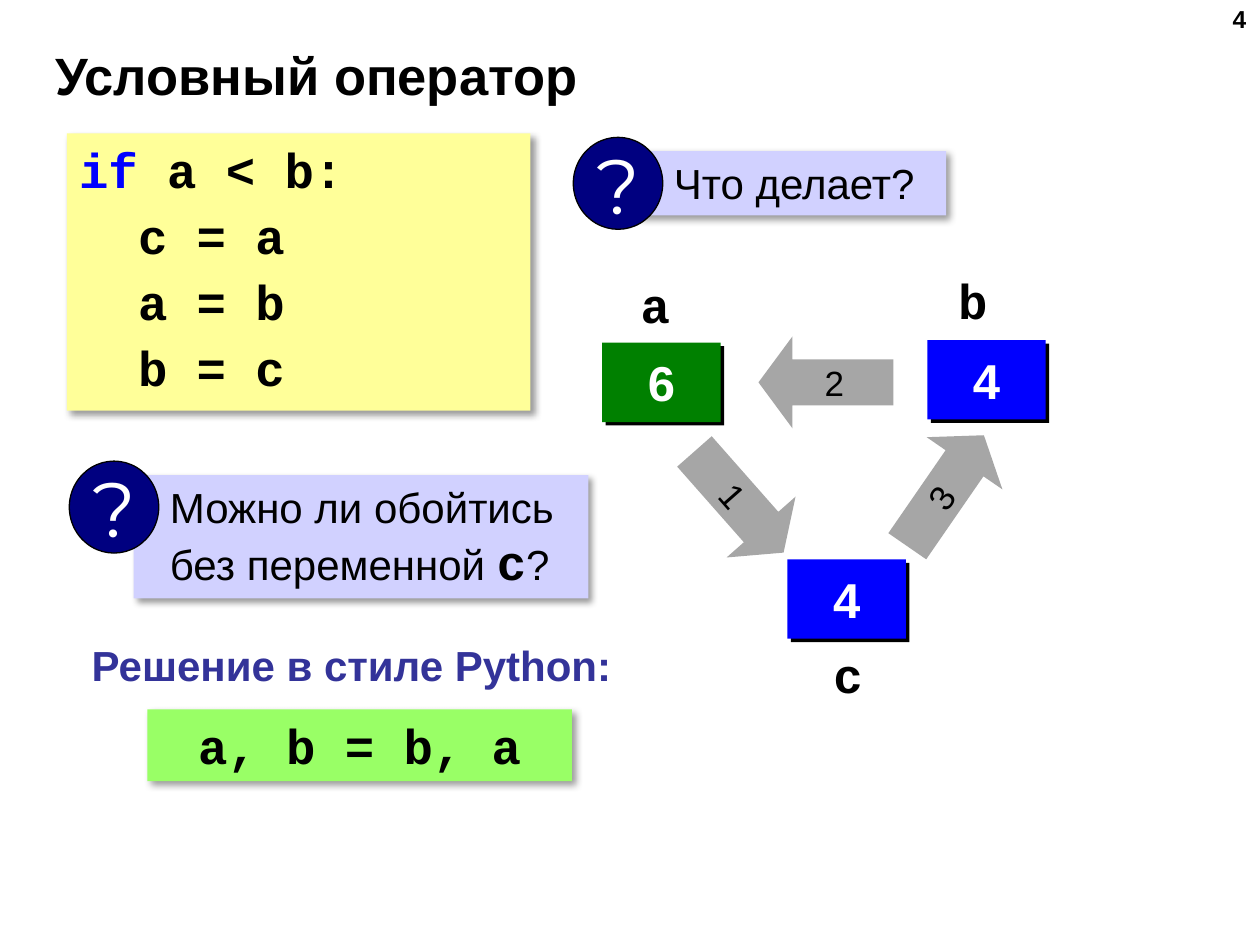
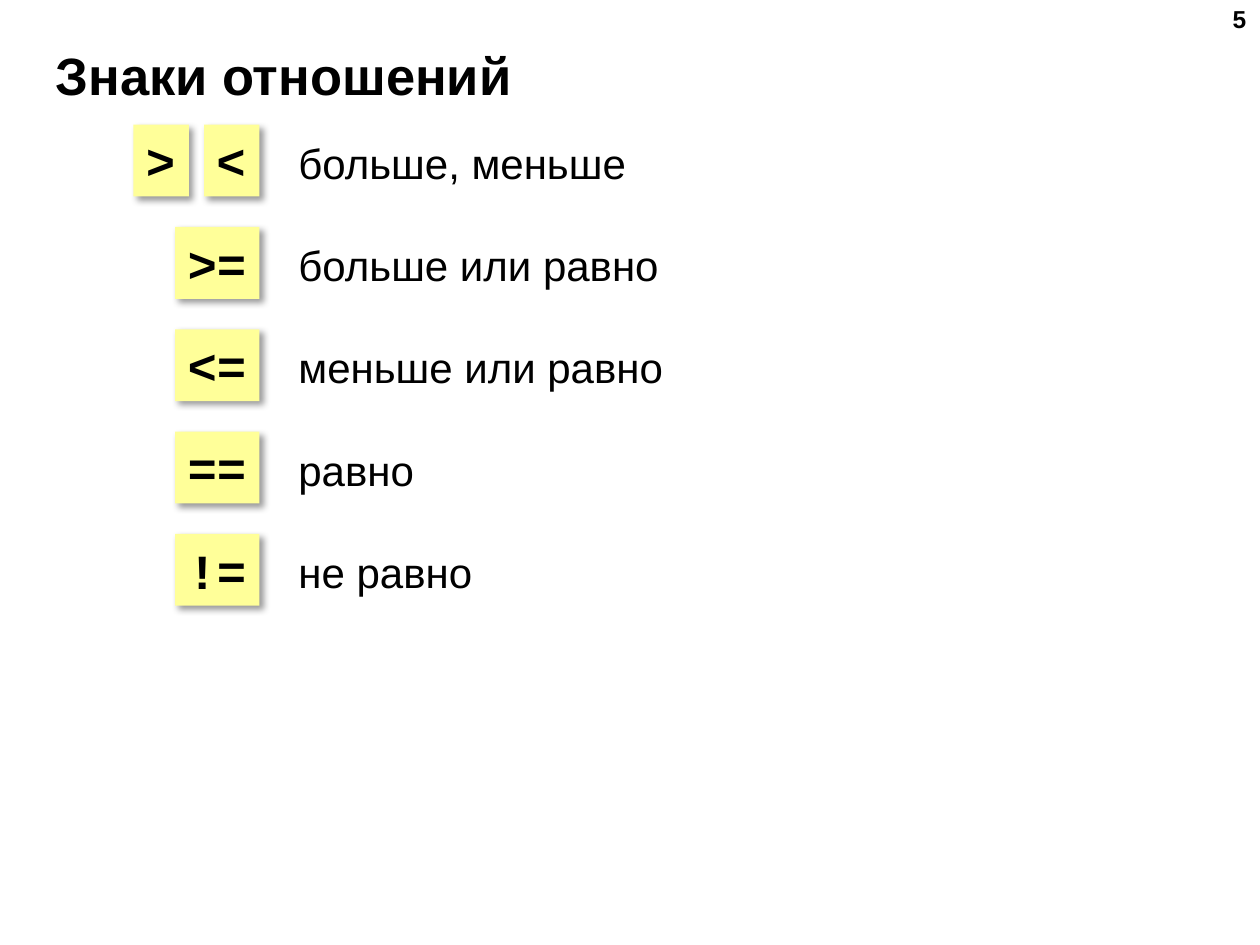
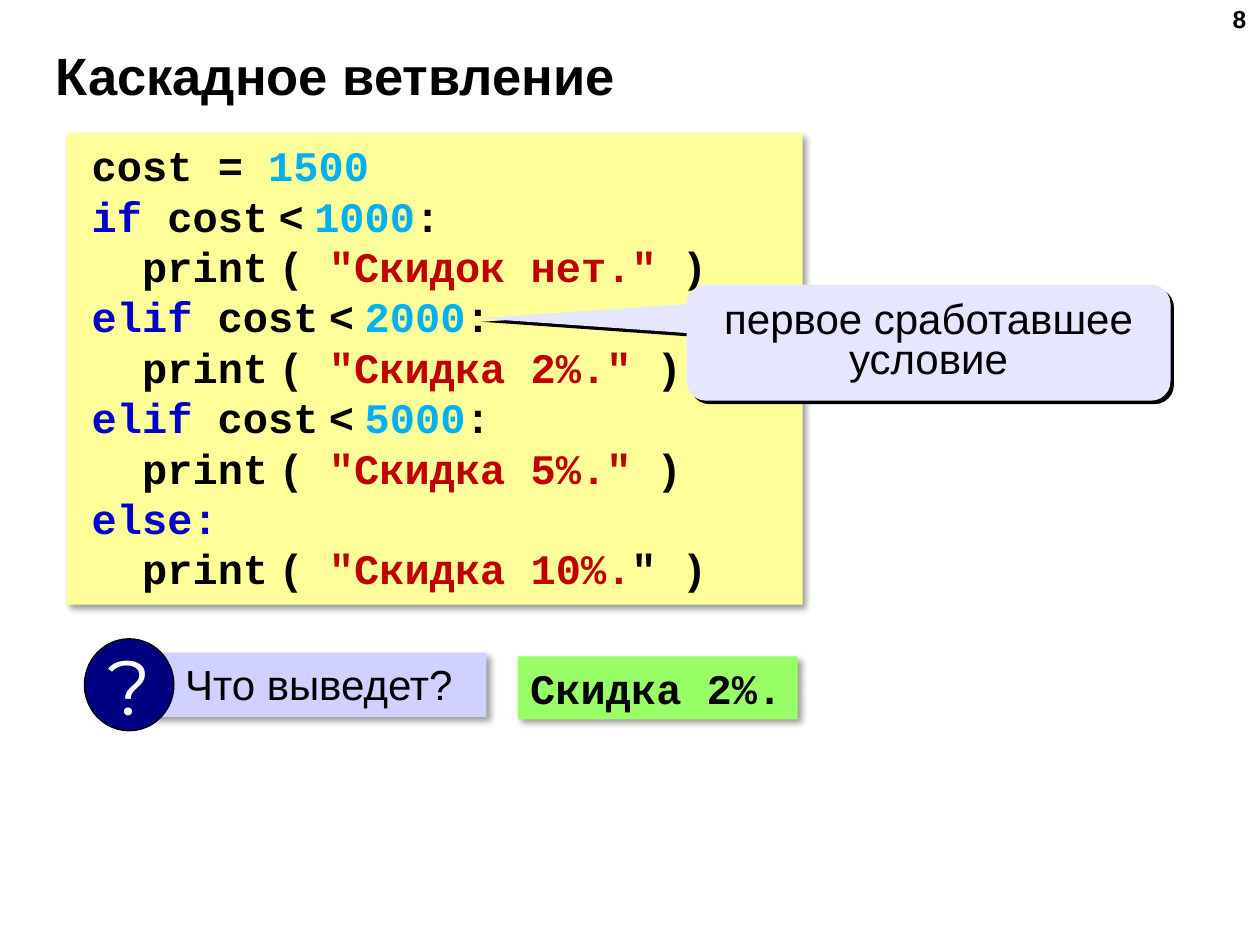
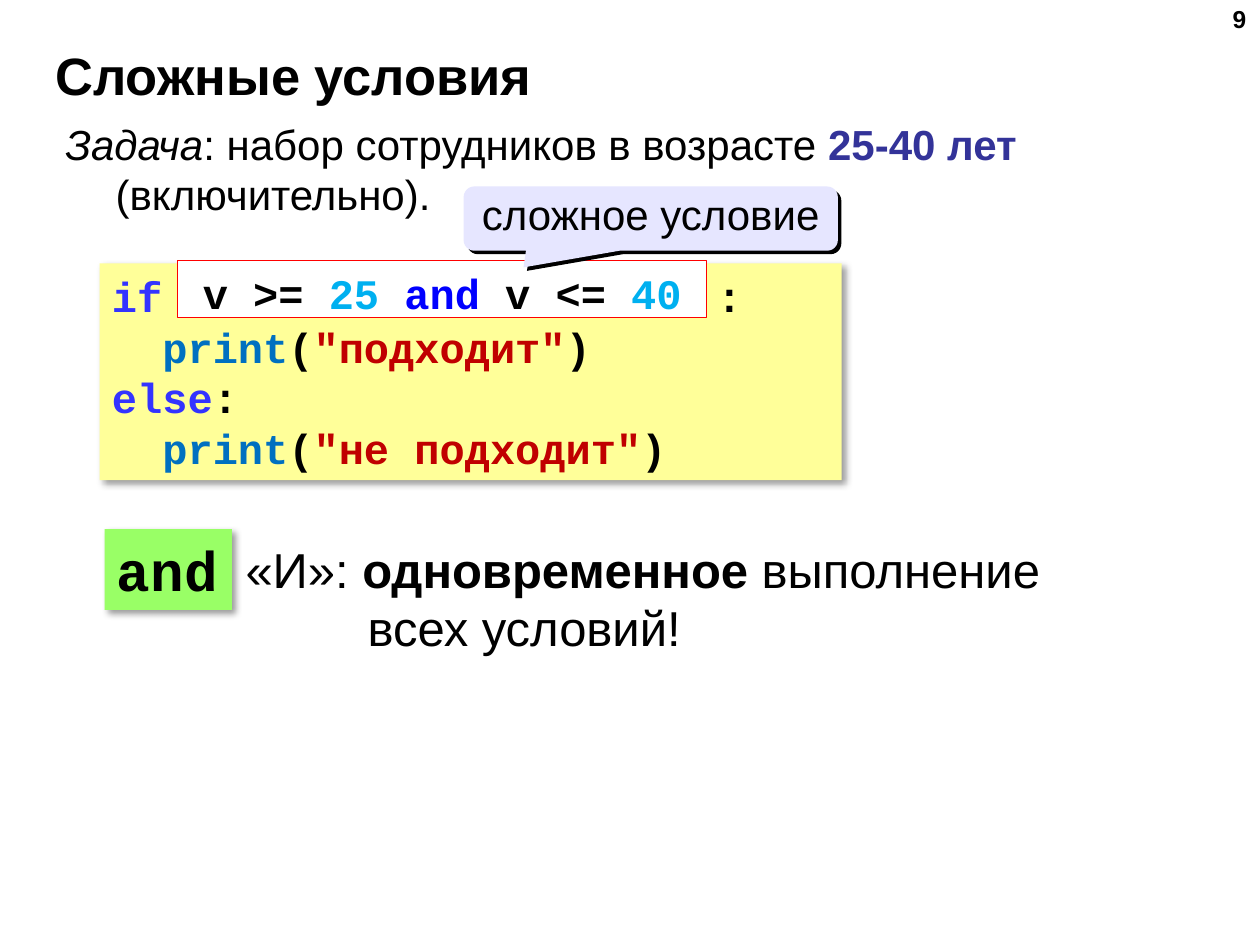
from dataclasses import dataclass, replace
from lxml.etree import SubElement
from pptx import Presentation
from pptx.dml.color import RGBColor
from pptx.enum.shapes import MSO_SHAPE
from pptx.enum.text import MSO_ANCHOR, MSO_AUTO_SIZE, PP_ALIGN
from pptx.oxml.ns import qn
from pptx.util import Inches, Pt

CELL = Inches(0.1)  # the slide is a grid of 100 columns by 75 rows
COLS, ROWS = 100, 75


# Shared look
@dataclass(frozen=True)
class Style:
    size: float = 24
    font: str = "Arial"
    color: str = "000000"
    bold: bool = False
    italic: bool = False


@dataclass(frozen=True)
class Theme:
    # surfaces
    code: str = "FFFF99"
    answer: str = "99FF66"
    ask: str = "D1D1FF"
    note: str = "E6E6FF"
    badge: str = "000080"
    arrow: str = "A6A6A6"
    blue: str = "0000FF"
    green: str = "008000"
    white: str = "FFFFFF"
    black: str = "000000"
    red: str = "FF0000"
    # words
    accent: str = "333399"
    word: str = "0000CC"
    key: str = "3333FF"
    call: str = "0070C0"
    digit: str = "00B0F0"
    quote: str = "C00000"
    # type
    text: Style = Style()
    large: Style = Style(28)
    small: Style = Style(20)
    title: Style = Style(30, bold=True)
    page: Style = Style(14, bold=True)
    value: Style = Style(28, color="FFFFFF", bold=True)
    sign: Style = Style(44, "Montserrat", "FFFFFF")
    mono: Style = Style(24, "Courier New", bold=True)
    big: Style = Style(28, "Courier New", bold=True)
    huge: Style = Style(32, "Courier New", bold=True)
    # shadows: opacity %, blur, distance
    soft: tuple = (40, 4, 3)
    hard: tuple = (100, 0, 2.8)


T = Theme()
THIN = (" ", {"size": 10})


def tint(text, color):
    return text, {"color": color}


# Text: a line is a string or a list of parts; a part is a string
# or a pair of a string and its changes to the style
def write(frame, lines, style, align=PP_ALIGN.LEFT, anchor=MSO_ANCHOR.TOP,
          wrap=True, grow=False):
    frame.word_wrap = wrap
    frame.vertical_anchor = anchor
    frame.auto_size = (MSO_AUTO_SIZE.SHAPE_TO_FIT_TEXT if grow
                       else MSO_AUTO_SIZE.NONE)
    for row, line in enumerate([lines] if isinstance(lines, str) else lines):
        para = frame.add_paragraph() if row else frame.paragraphs[0]
        para.alignment = align
        for part in [line] if isinstance(line, str) else line:
            text, change = (part, {}) if isinstance(part, str) else part
            look = replace(style, **change)
            run = para.add_run()
            run.text = text
            run.font.size = Pt(look.size)
            run.font.name = look.font
            run.font.bold = look.bold
            run.font.italic = look.italic
            run.font.color.rgb = RGBColor.from_string(look.color)
    return frame.paragraphs


def indent(para, left, first=0):
    props = para._p.get_or_add_pPr()
    props.set("marL", str(int(left * CELL)))
    props.set("indent", str(int(first * CELL)))


def tab(para, col):
    stops = SubElement(para._p.get_or_add_pPr(), qn("a:tabLst"))
    SubElement(stops, qn("a:tab"), pos=str(int(col * CELL)), algn="l")


# Elements; every box is left, top, width, height in grid cells
def place(box):
    return [int(n * CELL) for n in box]


def shade(shape, glow):
    shape.shadow.inherit = False
    if glow:
        alpha, blur, dist = glow
        effects = shape._element.spPr.find(qn("a:effectLst"))
        cast = SubElement(effects, qn("a:outerShdw"), blurRad=str(Pt(blur)),
                          dist=str(Pt(dist)), dir="2700000", algn="tl",
                          rotWithShape="0")
        ink = SubElement(cast, qn("a:srgbClr"), val=T.black)
        SubElement(ink, qn("a:alpha"), val=str(alpha * 1000))


def draw(shapes, kind, box, fill, line=None, glow=None):
    shape = shapes.add_shape(kind, *place(box))
    shape.fill.solid()
    shape.fill.fore_color.rgb = RGBColor.from_string(fill)
    if line:
        shape.line.color.rgb = RGBColor.from_string(line)
        shape.line.width = Pt(0.75)
    else:
        shape.line.fill.background()
    shade(shape, glow)
    return shape


def label(slide, box, lines, style, **opts):
    frame = slide.shapes.add_textbox(*place(box)).text_frame
    return write(frame, lines, style, **opts)


def panel(slide, box, fill, lines, style, **opts):
    shape = draw(slide.shapes, MSO_SHAPE.RECTANGLE, box, fill, glow=T.soft)
    return write(shape.text_frame, lines, style, **opts)


def center(shape, text, style, wrap=False):
    return write(shape.text_frame, text, style, PP_ALIGN.CENTER,
                 MSO_ANCHOR.MIDDLE, wrap)


def ask(slide, left, top, size, lines):
    """Question: a round badge over the corner of a lilac panel."""
    group = slide.shapes.add_group_shape()
    box = (left + 5.1, top + 1.0 + 0.1, *size)
    back = draw(group.shapes, MSO_SHAPE.RECTANGLE, box, T.ask, glow=T.soft)
    for para in write(back.text_frame, lines, T.text):
        indent(para, 1.9)
    badge = draw(group.shapes, MSO_SHAPE.OVAL, (left, top, 7.1, 7.3),
                 T.badge, T.black)
    center(badge, "?", T.sign)


def note(slide, box, tip, text):
    shape = draw(slide.shapes, MSO_SHAPE.ROUNDED_RECTANGULAR_CALLOUT, box,
                 T.note, glow=T.hard)
    shape.adjustments[0], shape.adjustments[1] = tip
    center(shape, text, T.text, wrap=True)[0].line_spacing = 0.8


def store(slide, left, top, fill, value, name, spot):
    """Memory cell with its value, and its name at the given spot."""
    shape = draw(slide.shapes, MSO_SHAPE.RECTANGLE, (left, top, 9.4, 6.3),
                 fill, glow=T.hard)
    center(shape, value, T.value)
    label(slide, (*spot, 5.2, 5.6), name, T.big, align=PP_ALIGN.CENTER,
          anchor=MSO_ANCHOR.MIDDLE, wrap=False)


def arrow(slide, left, top, text, kind=MSO_SHAPE.RIGHT_ARROW, turn=0):
    shape = draw(slide.shapes, kind, (left, top, 10.7, 7.3), T.arrow)
    shape.adjustments[0], shape.adjustments[1] = 0.5, 0.37
    shape.rotation = turn
    center(shape, text, T.small)


def start(deck, title, page):
    slide = deck.slides.add_slide(deck.slide_layouts[5])
    head = slide.shapes.title
    head.left, head.top, head.width, head.height = place((3.4, 3.3, 91.6, 5.2))
    write(head.text_frame, title, T.title, anchor=MSO_ANCHOR.MIDDLE)
    label(slide, (76.6, -0.2, 23.3, 5.2), str(page), T.page,
          align=PP_ALIGN.RIGHT)
    return slide


# Slides
def swap(deck):
    slide = start(deck, "Условный оператор", 4)
    lines = [[tint("if", T.blue), " a < b:"], "с = a", "a = b", "b = c"]
    paras = panel(slide, (5.3, 10.6, 36.8, 22), T.code, lines, T.big)
    for para in paras[1:]:
        indent(para, 4.67)
        para.space_before = Pt(4)
    ask(slide, 45.5, 10.9, (24.5, 5.1), "Что делает?")

    store(slide, 62.5, 44.4, T.blue, "4", "c", (64.7, 50.7))
    store(slide, 47.8, 27.2, T.green, "6", "a", (49.4, 21.3))
    store(slide, 73.6, 27, T.blue, "4", "b", (74.6, 21))
    arrow(slide, 69.7, 35.3, "3", turn=304.6)
    arrow(slide, 60.2, 26.7, "2", MSO_SHAPE.LEFT_ARROW)
    arrow(slide, 53.3, 36.2, "1", turn=48.6)

    name = ("c", {"size": 28, "font": T.big.font, "bold": True})
    ask(slide, 5.5, 36.6, (36.1, 9.8),
        ["Можно ли обойтись", ["без переменной ", name, "?"]])
    panel(slide, (11.7, 56.3, 33.7, 5.7), T.answer, "a, b = b, a", T.big,
          align=PP_ALIGN.CENTER)
    label(slide, (6.3, 50.3, 43.6, 5), "Решение в стиле Python:",
          replace(T.text, color=T.accent, bold=True), wrap=False, grow=True)


def signs(deck):
    slide = start(deck, "Знаки отношений", 5)
    rows = [((">", "<"), "больше, меньше", 28.3),
            ((">=",), "больше или равно", 30.9),
            (("<=",), "меньше или равно", 31.2),
            (("==",), "равно", 11.3),
            (("!=",), "не равно", 16)]
    for row, (marks, text, width) in enumerate(rows):
        top = 9.9 + 8.12 * row
        right = 20.6
        for mark in reversed(marks):
            wide = 2.1 + 2.3 * len(mark)
            panel(slide, (right - wide, top, wide, 5.7), T.code, mark, T.big,
                  wrap=False, grow=True)
            right -= wide + 1.2
        label(slide, (22.7, top + 0.5, width, 5), text, T.text,
              wrap=False, grow=True)


def test(word, limit):
    return [tint(word, T.word), " cost", THIN, "<", THIN,
            tint(limit, T.digit), ":"]


def echo(text):
    return ["print", THIN, "( ", tint(f'"{text}" ', T.quote), ")"]


def cascade(deck):
    slide = start(deck, "Каскадное ветвление", 8)
    lines = [["cost = ", tint("1500", T.digit)],
             test("if", "1000"), echo("Скидок нет."),
             test("elif", "2000"), echo("Скидка 2%."),
             test("elif", "5000"), echo("Скидка 5%."),
             [tint("else:", T.word)],
             ["print", THIN, "( ", tint('"Скидка 10%.', T.quote), '" )']]
    paras = panel(slide, (5.3, 10.6, 58.4, 37.4), T.code, lines, T.mono)
    for para in paras:
        indent(para, 5 if para.text.startswith("print") else 1)
    ask(slide, 6.7, 50.7, (26.8, 5.1), "Что выведет?")
    note(slide, (54.5, 22.6, 38.4, 9.2), (-0.93, -0.21),
         "первое сработавшее условие")
    panel(slide, (41.1, 52.1, 22.2, 5), T.answer, "Скидка 2%.", T.mono,
          wrap=False, grow=True)


def show(text):
    return [tint("print", T.call), "(", tint(f'"{text}"', T.quote), ")"]


def complex_(deck):
    slide = start(deck, "Сложные условия", 9)
    task = [("Задача", {"italic": True}), ": набор сотрудников в возрасте ",
            ("25-40 лет ", {"color": T.accent, "bold": True}),
            "(включительно)."]
    indent(label(slide, (4.2, 8.9, 92.1, 9.1), [task], T.text)[0], 4, -4)

    # Code with the condition framed in red
    lines = [[tint("if", T.key), "\t:"], show("подходит"),
             [tint("else", T.key), ":"], show("не подходит")]
    paras = panel(slide, (7.9, 20.9, 58.9, 17.2), T.code, lines, T.mono,
                  anchor=MSO_ANCHOR.MIDDLE)
    tab(paras[0], 48)
    for para in paras[1::2]:
        indent(para, 4)
    panel(slide, (8.3, 42, 10.1, 6.4), T.answer, "and", T.huge,
          wrap=False, grow=True)
    frame = draw(slide.shapes, MSO_SHAPE.RECTANGLE, (14.1, 20.7, 42, 4.5),
                 T.white, T.red)
    frame.text_frame.margin_bottom = 0
    rule = ["v >= ", tint("25 ", T.digit), tint("and", T.blue), " v <= ",
            tint("40", T.digit)]
    write(frame.text_frame, [rule], T.mono, PP_ALIGN.CENTER)
    note(slide, (36.8, 14.8, 29.7, 5.1), (-0.34, 0.76), "сложное условие")

    both = ["«И»: ", ("одновременное", {"bold": True}), " выполнение"]
    paras = label(slide, (18.5, 42.3, 66.9, 10.4), [both, "всех условий!"],
                  T.large)
    indent(paras[1], 9.7)


def main():
    deck = Presentation()
    deck.slide_width, deck.slide_height = COLS * CELL, ROWS * CELL
    for build in (swap, signs, cascade, complex_):
        build(deck)
    deck.save("out.pptx")


if __name__ == "__main__":
    main()
